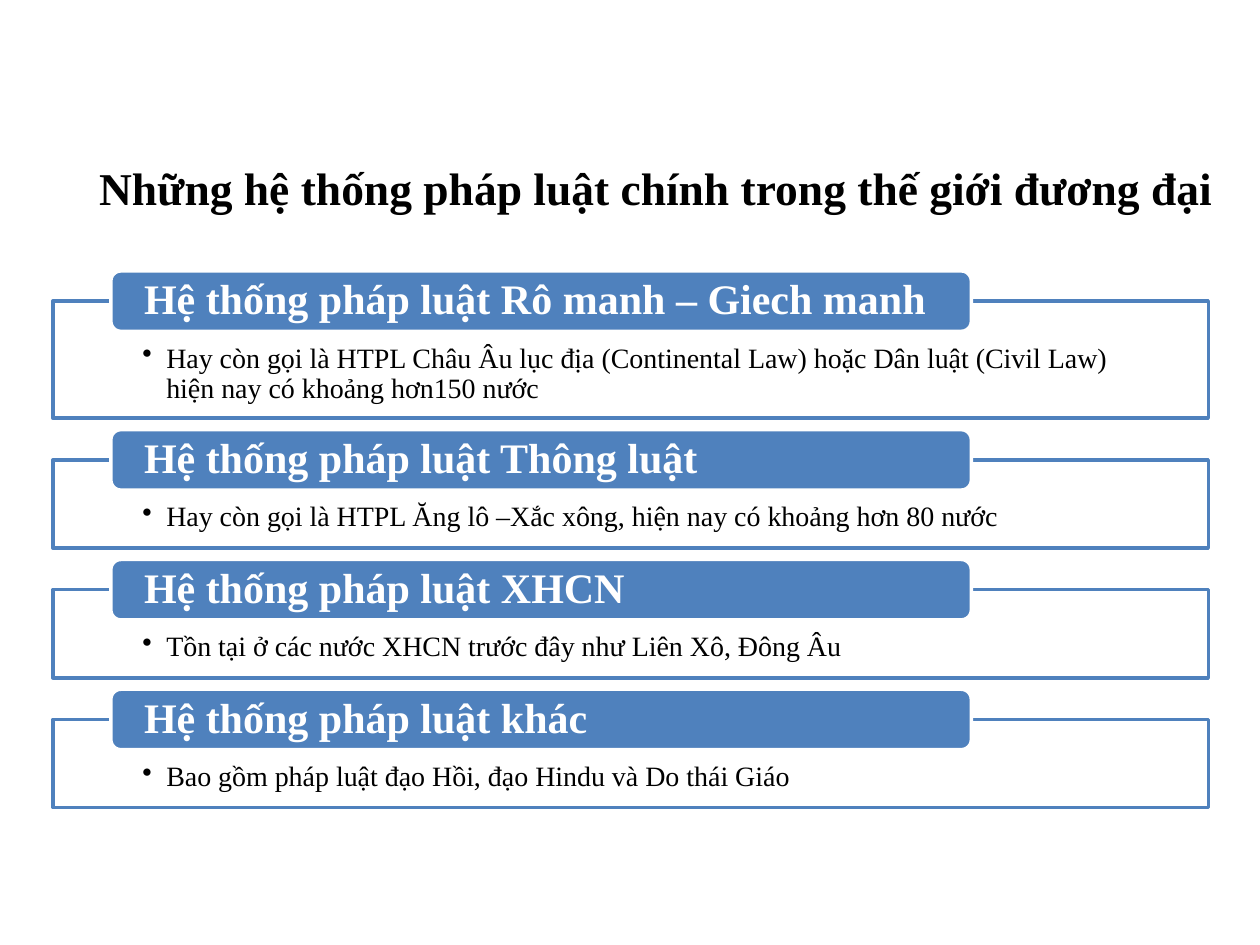
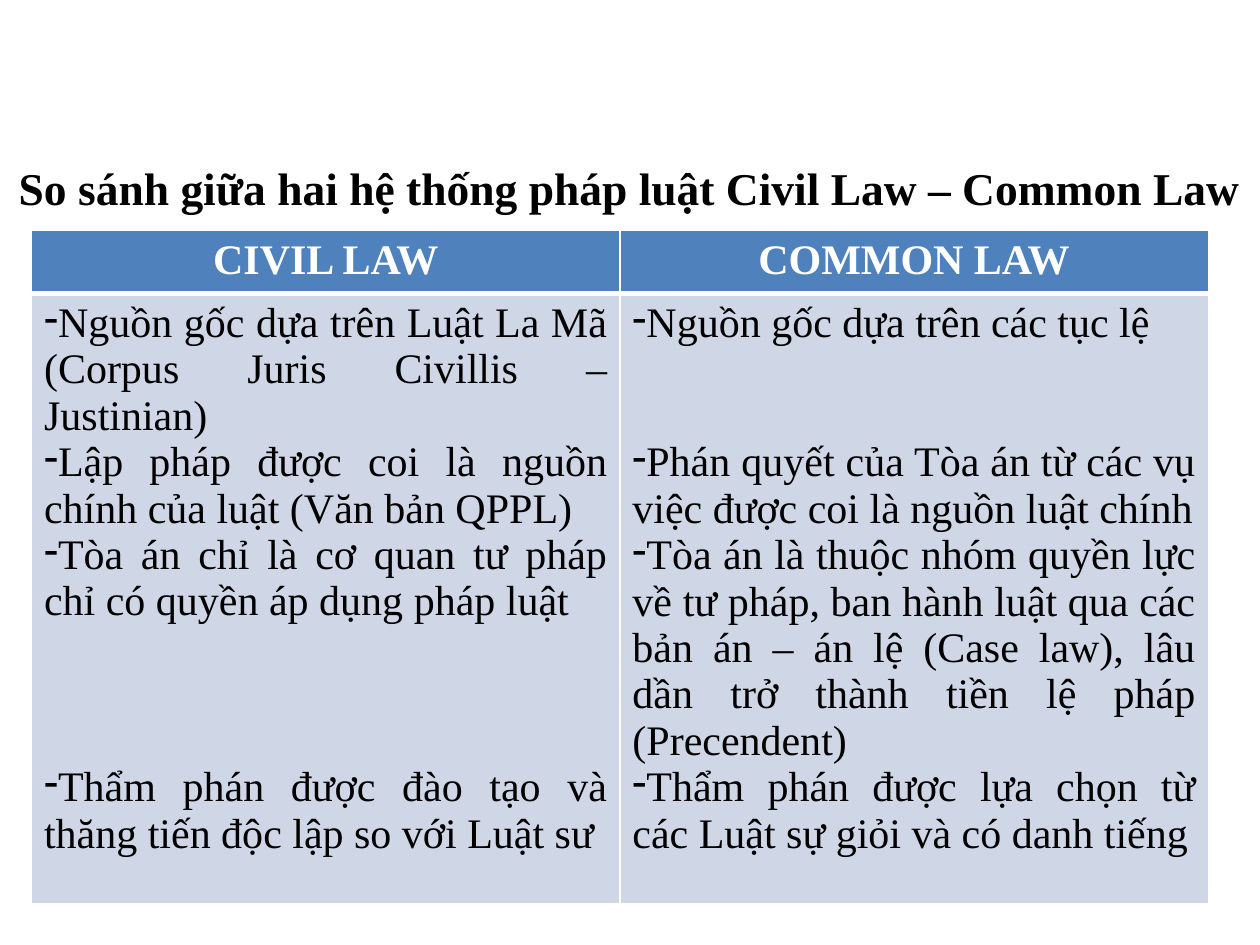
from lxml.etree import SubElement
from pptx import Presentation
from pptx.dml.color import RGBColor
from pptx.enum.shapes import MSO_SHAPE as Shape
from pptx.enum.text import MSO_ANCHOR as Anchor, PP_ALIGN as Align
from pptx.oxml import parse_xml
from pptx.oxml.ns import nsdecls, qn
from pptx.util import Inches, Pt

COLORS = {"ink": "000000", "paper": "FFFFFF", "blue": "4F81BD", "pale": "CFD7E7"}
FONT = "Times New Roman"
UNIT = Inches(0.1)  # the slide is a grid of 100 columns by 75 rows
TABLE_LINE = 26.57  # height in points of one line of 24 pt text

SYSTEMS = [
    ("Hệ thống pháp luật Rô manh – Giech manh",
     "Hay còn gọi là HTPL Châu Âu lục địa (Continental Law) hoặc Dân luật (Civil Law) "
     "hiện nay có khoảng hơn150 nước", 9.3),
    ("Hệ thống pháp luật Thông luật",
     "Hay còn gọi là HTPL Ăng lô –Xắc xông, hiện nay có khoảng hơn 80 nước", 7),
    ("Hệ thống pháp luật XHCN",
     "Tồn tại ở các nước XHCN trước đây như Liên Xô, Đông Âu", 7),
    ("Hệ thống pháp luật khác",
     "Bao gồm pháp luật đạo Hồi, đạo Hindu và Do thái Giáo", 7),
]

# Each point is its text and the number of free lines above it.
COMPARISON = {
    "CIVIL LAW": [
        ("Nguồn gốc dựa trên Luật La Mã (Corpus Juris Civillis – Justinian)", 0),
        ("Lập pháp được coi là nguồn chính của luật (Văn bản QPPL)", 0),
        ("Tòa án chỉ là cơ quan tư pháp chỉ có quyền áp dụng pháp luật", 0),
        ("Thẩm phán được đào tạo và thăng tiến độc lập so với Luật sư", 3),
    ],
    "COMMON LAW": [
        ("Nguồn gốc dựa trên các tục lệ", 0),
        ("Phán quyết của Tòa án từ các vụ việc được coi là nguồn luật chính", 2),
        ("Tòa án là thuộc nhóm quyền lực về tư pháp, ban hành luật qua các bản án – án lệ "
         "(Case law), lâu dần trở thành tiền lệ pháp (Precendent)", 0),
        ("Thẩm phán được lựa chọn từ các Luật sự giỏi và có danh tiếng", 0),
    ],
}


def color(name):
    return RGBColor.from_string(COLORS[name])


def grid(*cells):
    return [round(cell * UNIT) for cell in cells]


def write(para, text, size, ink="ink", bold=False, align=Align.LEFT):
    para.text = text
    para.alignment = align
    font = para.font
    font.name, font.size, font.bold = FONT, Pt(size), bold
    font.color.rgb = color(ink)


def add_bullet(para, char, margin, indent):
    props = para._p.get_or_add_pPr()
    props.set("marL", str(Inches(margin)))
    props.set("indent", str(Inches(indent)))
    tint = SubElement(props, qn("a:buClr"))
    SubElement(tint, qn("a:srgbClr"), val=COLORS["ink"])
    SubElement(props, qn("a:buChar"), char=char)


def set_frame(box, anchor, side, top, bottom):
    frame = box.text_frame
    frame.word_wrap = True
    frame.vertical_anchor = anchor
    frame.margin_left = frame.margin_right = Inches(side)
    frame.margin_top, frame.margin_bottom = Inches(top), Inches(bottom)
    return frame.paragraphs[0]


def add_title(page, text, left):
    """Add a title that runs from the left column to the slide's right edge."""
    box = page.shapes.add_textbox(*grid(left, 8.3, 100 - left, 9.2))
    para = set_frame(box, Anchor.BOTTOM, 0.1, 0.05, 0.05)
    write(para, text, 26, bold=True, align=Align.CENTER)


def add_panel(page, kind, cells, fill, line):
    panel = page.shapes.add_shape(kind, *grid(*cells))
    panel.shadow.inherit = False
    panel.fill.solid()
    panel.fill.fore_color.rgb = color(fill)
    panel.line.color.rgb = color(line)
    panel.line.width = Pt(2)
    return panel


def add_system(page, name, detail, top, height):
    """Add a framed detail with its name on a tab over the top edge."""
    frame = add_panel(page, Shape.RECTANGLE, (4.2, top, 91.7, height), "paper", "blue")
    para = set_frame(frame, Anchor.TOP, 0.71, 0.34, 0.12)
    add_bullet(para, "•", 0.19, -0.19)
    para.line_spacing = 0.9
    write(para, detail, 16)

    tab = add_panel(page, Shape.ROUNDED_RECTANGLE, (8.8, top - 2.4, 68.3, 4.8), "blue", "paper")
    para = set_frame(tab, Anchor.MIDDLE, 0.24, 0, 0)
    para.line_spacing = 0.9
    write(para, name, 24, "paper", bold=True)


def style_cell(cell, fill, top, bottom):
    """Fill a cell and give it white borders; top and bottom are widths in points."""
    cell.fill.solid()
    cell.fill.fore_color.rgb = color(fill)
    props = cell._tc.get_or_add_tcPr()
    for place, (side, width) in enumerate({"L": 1, "R": 1, "T": top, "B": bottom}.items()):
        props.insert(place, parse_xml(
            f'<a:ln{side} {nsdecls("a")} w="{Pt(width)}"><a:solidFill>'
            f'<a:srgbClr val="{COLORS["paper"]}"/></a:solidFill></a:ln{side}>'))


def add_comparison(page, columns):
    table = page.shapes.add_table(2, len(columns), *grid(2.5, 18.3, 93.4, 50)).table
    table.rows[0].height, table.rows[1].height = grid(4.7, 45.3)
    for index, (heading, points) in enumerate(columns.items()):
        head, body = table.cell(0, index), table.cell(1, index)
        style_cell(head, "blue", 1, 3)
        style_cell(body, "pale", 3, 1)
        write(head.text_frame.paragraphs[0], heading, 24, "paper", True, Align.CENTER)
        for number, (text, free_lines) in enumerate(points):
            frame = body.text_frame
            para = frame.add_paragraph() if number else frame.paragraphs[0]
            add_bullet(para, "-", 0, -0.17)
            if free_lines:
                para.space_before = Pt(free_lines * TABLE_LINE)
            write(para, text, 24, align=Align.JUSTIFY)


def main():
    deck = Presentation()
    deck.slide_width, deck.slide_height = grid(100, 75)
    blank = deck.slide_layouts[6]

    page = deck.slides.add_slide(blank)
    add_title(page, "Những hệ thống pháp luật chính trong thế giới đương đại", 4.2)
    top = 23.9
    for name, detail, height in SYSTEMS:
        add_system(page, name, detail, top, height)
        top += height + 3.3

    page = deck.slides.add_slide(blank)
    add_title(page, "So sánh giữa hai hệ thống pháp luật Civil Law – Common Law", 0)
    add_comparison(page, COMPARISON)

    deck.save("out.pptx")


if __name__ == "__main__":
    main()
